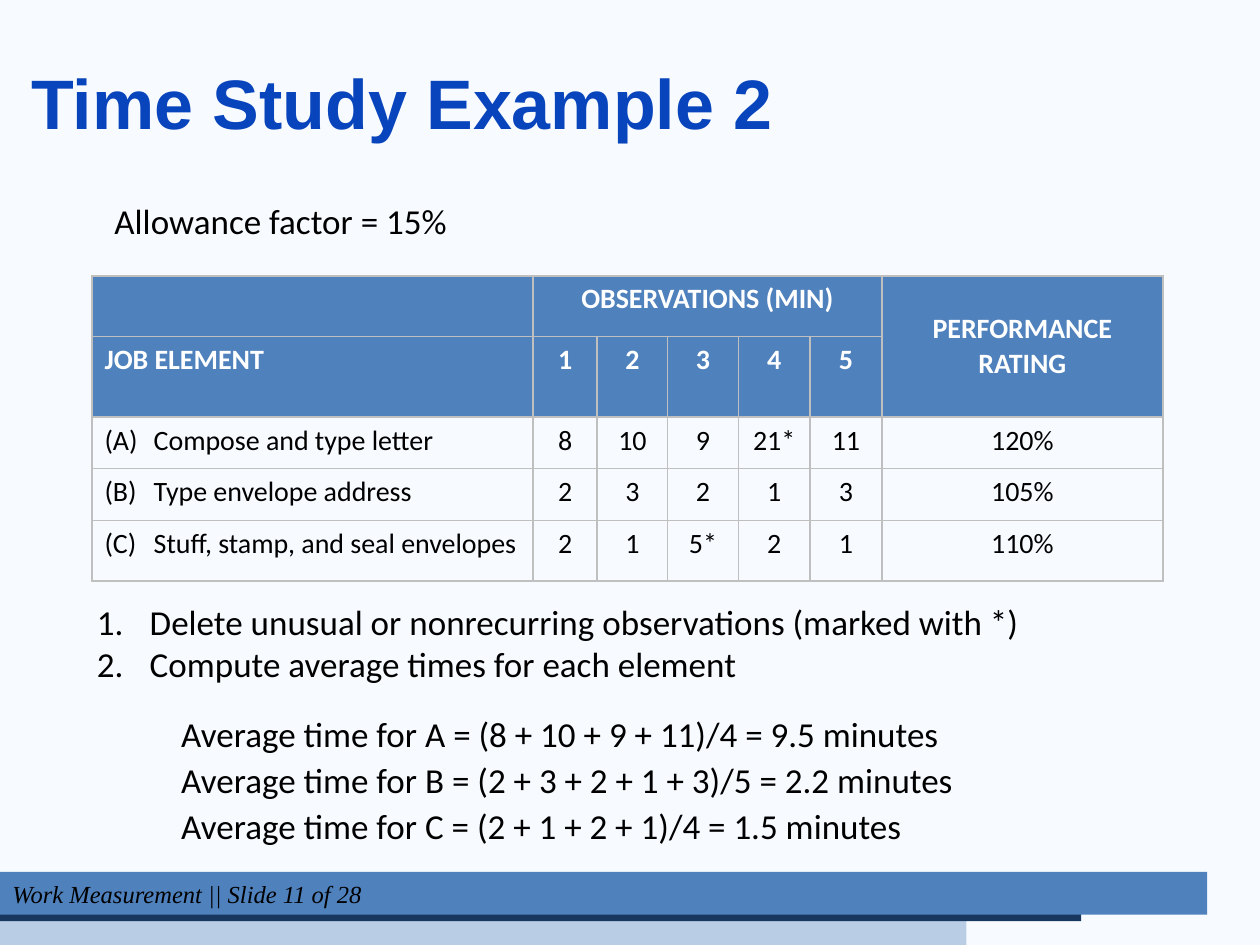
from typing import NamedTuple

from lxml import etree
from pptx import Presentation
from pptx.dml.color import RGBColor
from pptx.enum.shapes import MSO_SHAPE
from pptx.enum.text import MSO_ANCHOR, PP_ALIGN
from pptx.oxml.ns import qn
from pptx.util import Inches, Pt

RECT = MSO_SHAPE.RECTANGLE
TOP, MIDDLE = MSO_ANCHOR.TOP, MSO_ANCHOR.MIDDLE
LEFT, CENTER = PP_ALIGN.LEFT, PP_ALIGN.CENTER
BLUE, BLACK, WHITE, GRID = "4F81BD", "000000", "FFFFFF", "BFBFBF"
TITLE_ONLY = 5


class Bar(NamedTuple):
    top: float
    width: float
    height: float
    color: str


class TextBlock(NamedTuple):
    box: tuple[float, float, float, float]
    lines: list[str]
    spacing: float = 1.0
    numbered: bool = False


class Element(NamedTuple):
    name: str
    times: list[str]
    rating: str


BARS = [
    Bar(7.25, 7.67, 0.25, "B9CDE5"),
    Bar(7.09, 8.58, 0.22, "17375E"),
    Bar(6.92, 9.58, 0.34, BLUE),
]
BLOCKS = [
    TextBlock((0.81, 1.57, 3.15, 0.41), ["Allowance factor = 15%"], 0.9),
    TextBlock((0.67, 4.72, 8.1, 0.77), [
        "Delete unusual or nonrecurring observations (marked with *)",
        "Compute average times for each element",
    ], numbered=True),
    TextBlock((1.34, 5.57, 7.27, 1.2), [
        "Average time for A = (8 + 10 + 9 + 11)/4 = 9.5 minutes",
        "Average time for B = (2 + 3 + 2 + 1 + 3)/5 = 2.2 minutes",
        "Average time for C = (2 + 1 + 2 + 1)/4 = 1.5 minutes",
    ], 1.1),
]
ELEMENTS = [
    Element("(A)\tCompose and type letter", ["8", "10", "9", "21*", "11"], "120%"),
    Element("(B)\tType envelope address", ["2", "3", "2", "1", "3"], "105%"),
    Element("(C)\tStuff, stamp, and seal envelopes", ["2", "1", "5*", "2", "1"], "110%"),
]
COL_WIDTHS = [3.5, 0.51, 0.56, 0.56, 0.57, 0.57, 2.23]
ROW_HEIGHTS = [0.48, 0.64, 0.41, 0.41, 0.48]


def rgb(color: str) -> RGBColor:
    return RGBColor.from_string(color)


def write(p, text: str, *, size=20, font="Calibri", color=BLACK, bold=False,
          italic=False, align=LEFT, spacing=1.0, hang=0.0, numbered=False) -> None:
    """Fill one paragraph and format it."""
    r = p.add_run()
    r.text = text
    f = r.font
    f.size, f.name, f.bold, f.italic = Pt(size), font, bold, italic
    f.color.rgb = rgb(color)
    p.alignment, p.line_spacing = align, spacing
    pPr = p._p.get_or_add_pPr()
    if hang:
        pPr.set("marL", str(Inches(hang)))
        pPr.set("indent", str(-Inches(hang)))
    if numbered:
        etree.SubElement(pPr, qn("a:buFont"), typeface="+mj-lt")
        etree.SubElement(pPr, qn("a:buAutoNum"), type="arabicPeriod")


def add_block(s, block: TextBlock) -> None:
    tf = s.shapes.add_textbox(*map(Inches, block.box)).text_frame
    tf.word_wrap = True
    for i, line in enumerate(block.lines):
        p = tf.add_paragraph() if i else tf.paragraphs[0]
        write(p, line, spacing=block.spacing, numbered=block.numbered,
              hang=0.42 if block.numbered else 0)


def add_bar(s, bar: Bar):
    sp = s.shapes.add_shape(RECT, 0, Inches(bar.top), Inches(bar.width), Inches(bar.height))
    sp.shadow.inherit = False
    sp.fill.solid()
    sp.fill.fore_color.rgb = rgb(bar.color)
    sp.line.fill.background()
    return sp


def style_cell(cell, fill: str | None) -> None:
    """Draw the grid lines first, then the fill, as the schema orders them."""
    tcPr = cell._tc.get_or_add_tcPr()
    for side in ("lnL", "lnR", "lnT", "lnB"):
        ln = etree.SubElement(tcPr, qn(f"a:{side}"), w=str(Pt(1)))
        solid = etree.SubElement(ln, qn("a:solidFill"))
        etree.SubElement(solid, qn("a:srgbClr"), val=GRID)
    if fill:
        cell.fill.solid()
        cell.fill.fore_color.rgb = rgb(fill)
    else:
        cell.fill.background()


def add_study_table(s) -> None:
    rows = [
        ["", "OBSERVATIONS (MIN)", "", "", "", "", "PERFORMANCE RATING"],
        ["JOB ELEMENT", "1", "2", "3", "4", "5", ""],
        *([e.name, *e.times, e.rating] for e in ELEMENTS),
    ]
    table = s.shapes.add_table(
        len(rows), len(COL_WIDTHS), Inches(0.73), Inches(2.19),
        Inches(sum(COL_WIDTHS)), Inches(sum(ROW_HEIGHTS))).table
    for column, width in zip(table.columns, COL_WIDTHS):
        column.width = Inches(width)
    for row, height in zip(table.rows, ROW_HEIGHTS):
        row.height = Inches(height)
    for i, texts in enumerate(rows):
        header = i < 2
        for j, text in enumerate(texts):
            cell = table.cell(i, j)
            style_cell(cell, BLUE if header else None)
            if text:
                write(cell.text_frame.paragraphs[0], text, size=16, bold=header,
                      color=WHITE if header else BLACK, align=CENTER if j else LEFT,
                      hang=0 if header or j else 0.39)
    table.cell(0, 1).merge(table.cell(0, 5))
    table.cell(0, 6).merge(table.cell(1, 6))
    table.cell(0, 6).vertical_anchor = MIDDLE


def main() -> None:
    prs = Presentation()
    prs.slide_width, prs.slide_height = Inches(10), Inches(7.5)
    s = prs.slides.add_slide(prs.slide_layouts[TITLE_ONLY])
    s.background.fill.solid()
    s.background.fill.fore_color.rgb = rgb("F7FAFF")

    # Title
    title = s.shapes.title
    title.left, title.top, title.width, title.height = map(Inches, (0.25, 0.42, 8.5, 0.97))
    tf = title.text_frame
    tf.margin_left = tf.margin_right = tf.margin_bottom = 0
    tf.margin_top = Inches(0.05)
    tf.vertical_anchor = TOP
    write(tf.paragraphs[0], "Time Study Example 2", size=40, font="Arial",
          color="0844BC", bold=True)

    # Text and observations
    for block in BLOCKS:
        add_block(s, block)
    add_study_table(s)

    # Footer: the front bar carries the text
    footer = [add_bar(s, bar) for bar in BARS][-1]
    tf = footer.text_frame
    tf.vertical_anchor = MIDDLE
    write(tf.paragraphs[0], "Work Measurement || Slide 11 of 28", size=14,
          font="Times New Roman", italic=True)

    prs.save("out.pptx")


if __name__ == "__main__":
    main()
